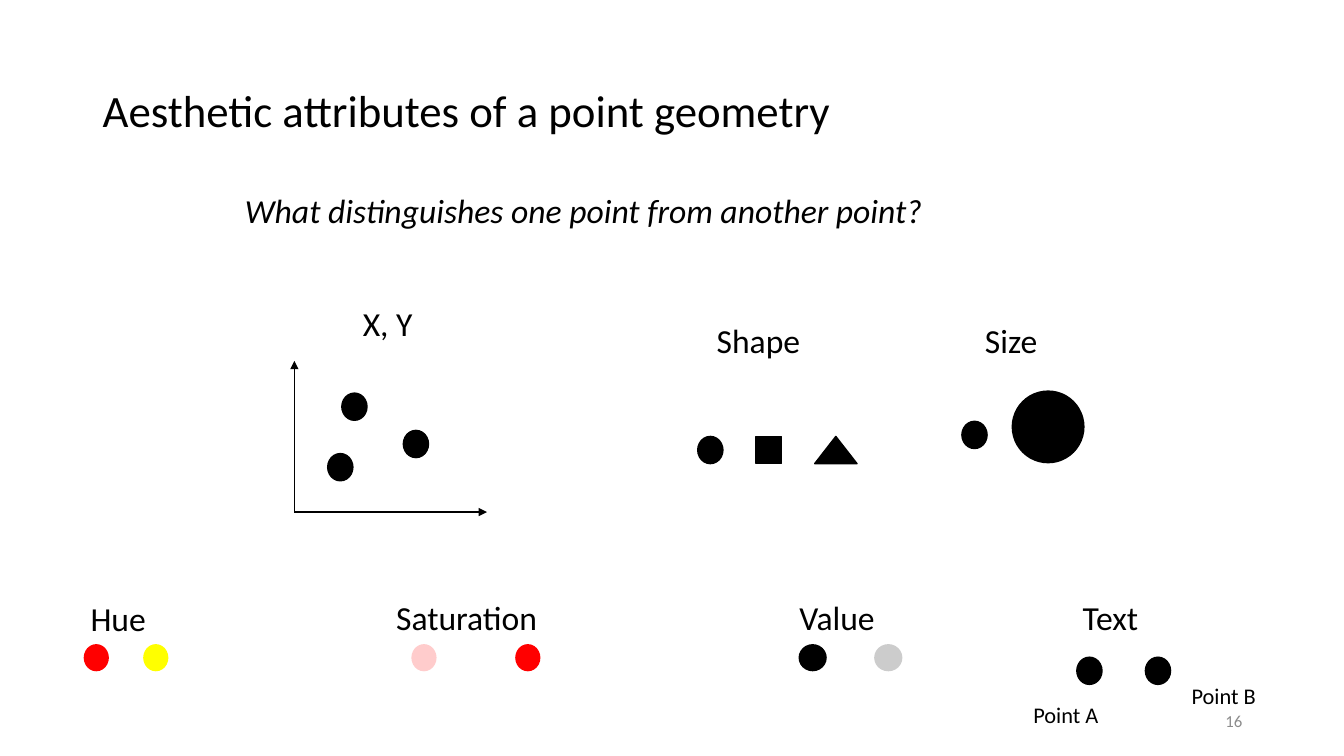
from dataclasses import dataclass

from lxml import etree
from pptx import Presentation
from pptx.dml.color import RGBColor
from pptx.enum.shapes import MSO_CONNECTOR as CONN, MSO_SHAPE as SHAPE
from pptx.enum.text import MSO_ANCHOR as ANCHOR, MSO_AUTO_SIZE as AUTO, PP_ALIGN as ALIGN
from pptx.oxml.ns import qn
from pptx.slide import Slide
from pptx.util import Inches, Pt

BLACK = RGBColor(0x00, 0x00, 0x00)
RED = RGBColor(0xFF, 0x00, 0x00)
YELLOW = RGBColor(0xFF, 0xFF, 0x00)
PINK = RGBColor(0xFF, 0xCC, 0xCC)
SILVER = RGBColor(0xCC, 0xCC, 0xCC)
GRAY = RGBColor(0x8C, 0x8C, 0x8C)
FONT = "Calibri"
MARK_W, MARK_H = 0.25, 0.27
SWATCH_Y = 6.39
ORIGIN = (2.92, 5.08)


@dataclass
class Mark:
    x: float
    y: float
    w: float = MARK_W
    h: float = MARK_H
    kind: SHAPE = SHAPE.OVAL
    color: RGBColor = BLACK
    outlined: bool = True


@dataclass
class Label:
    text: str
    x: float
    y: float
    w: float
    h: float = 0.46
    size: int = 24
    italic: bool = False


def swatch(x: float, color: RGBColor, w: float = MARK_W) -> Mark:
    return Mark(x, SWATCH_Y, w, color=color, outlined=False)


MARKS = [
    Mark(3.25, 4.5),
    Mark(3.39, 3.9),
    Mark(4, 4.27),
    Mark(6.92, 4.33),
    Mark(7.5, 4.33, kind=SHAPE.RECTANGLE),
    Mark(8.08, 4.33, 0.42, kind=SHAPE.ISOSCELES_TRIANGLE),
    Mark(9.54, 4.18),
    Mark(10.04, 3.88, 0.71, 0.71),
    swatch(0.83, RED),
    swatch(1.42, YELLOW),
    swatch(4.08, PINK),
    swatch(5.11, RED),
    swatch(7.92, BLACK, 0.28),
    swatch(8.67, SILVER, 0.28),
    Mark(10.68, 6.52),
    Mark(11.36, 6.52),
]

LABELS = [
    Label("What distinguishes one point from another point?", 2.33, 1.88, 7, italic=True),
    Label("X, Y", 3.5, 3, 0.7),
    Label("Shape", 7.01, 3.17, 1.04),
    Label("Size", 9.67, 3.17, 0.73),
    Label("Hue", 0.8, 5.93, 0.76),
    Label("Saturation", 3.83, 5.92, 1.62),
    Label("Value", 7.83, 5.92, 0.96),
    Label("Text", 10.64, 5.92, 0.76),
    Label("Point A", 10.15, 6.94, 0.85, 0.34, 16),
    Label("Point B", 11.72, 6.75, 0.85, 0.34, 16),
]


def add_text(s: Slide, text: str, x: float, y: float, w: float, h: float, *,
             size: int = 24, color: RGBColor = BLACK, italic: bool = False,
             wrap: bool = False, anchor: ANCHOR = ANCHOR.TOP,
             align: ALIGN = ALIGN.LEFT, spacing: float = 0.9) -> None:
    tf = s.shapes.add_textbox(Inches(x), Inches(y), Inches(w), Inches(h)).text_frame
    tf.word_wrap = wrap
    tf.auto_size = AUTO.NONE if wrap else AUTO.SHAPE_TO_FIT_TEXT
    tf.vertical_anchor = anchor
    p = tf.paragraphs[0]
    p.alignment = align
    p.line_spacing = spacing
    r = p.add_run()
    r.text = text
    r.font.name = FONT
    r.font.size = Pt(size)
    r.font.italic = italic
    r.font.color.rgb = color


def add_mark(s: Slide, m: Mark) -> None:
    sp = s.shapes.add_shape(m.kind, Inches(m.x), Inches(m.y), Inches(m.w), Inches(m.h))
    sp.shadow.inherit = False
    sp.fill.solid()
    sp.fill.fore_color.rgb = m.color
    if m.outlined:
        sp.line.color.rgb = BLACK
        sp.line.width = Pt(1)
    else:
        sp.line.fill.background()


def add_axis(s: Slide, x: float, y: float) -> None:
    start_x, start_y = ORIGIN
    axis = s.shapes.add_connector(CONN.STRAIGHT, Inches(start_x), Inches(start_y),
                                  Inches(x), Inches(y))
    axis.line.color.rgb = BLACK
    axis.line.width = Pt(1)
    etree.SubElement(axis.line._get_or_add_ln(), qn("a:tailEnd"), type="triangle")
    etree.SubElement(axis._element.spPr, qn("a:effectLst"))


def main() -> None:
    prs = Presentation()
    prs.slide_width, prs.slide_height = Inches(13.33), Inches(7.5)
    s = prs.slides.add_slide(prs.slide_layouts[6])
    add_text(s, "Aesthetic attributes of a point geometry", 0.92, 0.4, 11.5, 1.45,
             size=32, wrap=True, anchor=ANCHOR.MIDDLE)
    add_axis(s, 4.83, ORIGIN[1])
    add_axis(s, ORIGIN[0], 3.58)
    for m in MARKS:
        add_mark(s, m)
    for label in LABELS:
        add_text(s, label.text, label.x, label.y, label.w, label.h,
                 size=label.size, italic=label.italic)
    add_text(s, "16", 9.42, 6.95, 3, 0.4, size=12, color=GRAY, wrap=True,
             anchor=ANCHOR.MIDDLE, align=ALIGN.RIGHT, spacing=1.0)
    prs.save("out.pptx")


if __name__ == "__main__":
    main()
